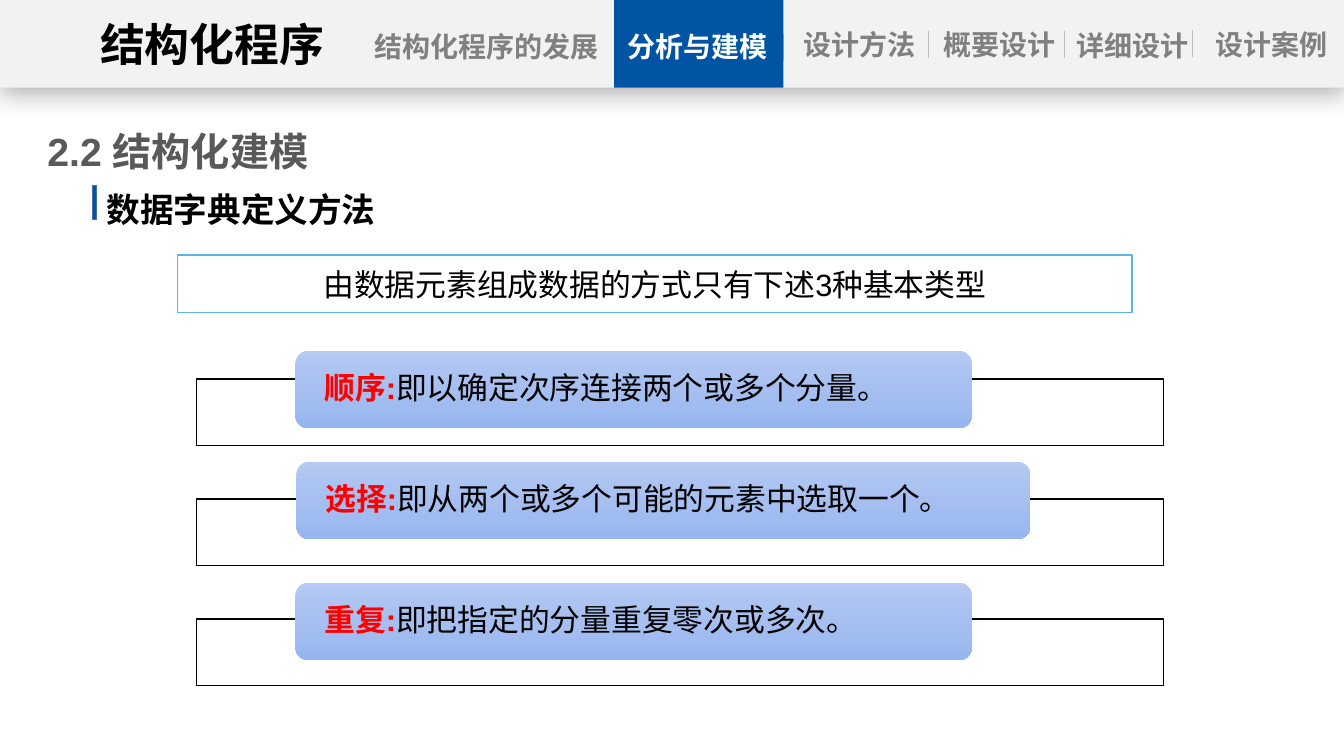
"""Build the slide on ways to define a data dictionary."""
from copy import deepcopy
from lxml.etree import SubElement
from pptx import Presentation
from pptx.dml.color import RGBColor
from pptx.enum.shapes import MSO_CONNECTOR, MSO_SHAPE
from pptx.enum.text import MSO_ANCHOR, MSO_AUTO_SIZE, PP_ALIGN
from pptx.oxml.ns import qn
from pptx.util import Pt

PX = 9144
BLUE, GREY, PALE = "0054A3", "808080", "F2F2F2"
hue = RGBColor.from_string

deck = Presentation()
deck.slide_width, deck.slide_height = 1333 * PX, 750 * PX
slide = deck.slides.add_slide(deck.slide_layouts[5])
shapes = slide.shapes


def box(x, y, w, h, fill=None, edge=None, kind=MSO_SHAPE.RECTANGLE):
    shape = shapes.add_shape(kind, x * PX, y * PX, w * PX, h * PX)
    shape.shadow.inherit = False
    if fill:
        shape.fill.solid()
        shape.fill.fore_color.rgb = hue(fill)
    else:
        shape.fill.background()
    if edge:
        shape.line.color.rgb = hue(edge)
        shape.line.width = Pt(1)
    else:
        shape.line.fill.background()
    return shape


def write(frame, parts, size, side=0, align=PP_ALIGN.LEFT, anchor=MSO_ANCHOR.TOP):
    frame.word_wrap = True
    frame.auto_size = MSO_AUTO_SIZE.NONE
    frame.vertical_anchor = anchor
    frame.margin_left = frame.margin_right = side * PX
    frame.margin_top = frame.margin_bottom = 5 * PX
    para = frame.paragraphs[0]
    para.alignment = align
    for text, tone, bold in parts:
        run = para.add_run()
        run.text = text
        run.font.name = "Arial"
        run.font.size = Pt(size)
        run.font.bold = bold
        run.font.color.rgb = hue(tone)


title = shapes.title
title.left, title.top, title.width, title.height = 47 * PX, 121 * PX, 283 * PX, 58 * PX
write(title.text_frame, [("2.2 结构化建模", "595959", True)], 28)

box(92, 184, 4, 34, BLUE, "476FAA")
topic = shapes.add_textbox(96 * PX, 183 * PX, 554 * PX, 50 * PX)
write(topic.text_frame, [("数据字典定义方法", "000000", True)], 24, 10)

intro = box(176, 253, 947, 57, edge="58B6E5")
write(intro.text_frame, [("由数据元素组成数据的方式只有下述3种基本类型", "000000", False)],
      22, 10, PP_ALIGN.CENTER, MSO_ANCHOR.MIDDLE)

types = [
    (293, 348, 671, "顺序:", "即以确定次序连接两个或多个分量。"),
    (294, 458, 728, "选择:", "即从两个或多个可能的元素中选取一个。"),
    (293, 578, 671, "重复:", "即把指定的分量重复零次或多次。"),
]
for i, (x, y, w, name, text) in enumerate(types):
    box(195, 376 + 119 * i, 959, 66, "FFFFFF", "000000")
    pill = box(x, y, w, 77, kind=MSO_SHAPE.ROUNDED_RECTANGLE)
    pill.fill.gradient()
    pill.fill.gradient_angle = 270
    stops = pill.element.spPr.find(".//" + qn("a:gsLst"))
    stops.insert(1, deepcopy(stops[0]))
    for stop, place, tone in zip(pill.fill.gradient_stops, (0, 0.5, 1),
                                 ("B4CAF3", "A6BFF0", "96B6F1")):
        stop.position = place
        stop.color.rgb = hue(tone)
    write(pill.text_frame, [(name, "FF0000", True), (text, "000000", False)],
          22, 25, anchor=MSO_ANCHOR.MIDDLE)
    pill.text_frame.paragraphs[0].line_spacing = 0.9

header = box(0, 0, 1333, 87, PALE)
glow = SubElement(header.element.spPr.find(qn("a:effectLst")), qn("a:outerShdw"),
                  blurRad=str(Pt(18)), dist=str(Pt(4)), dir="5400000",
                  algn="t", rotWithShape="0")
shade = SubElement(glow, qn("a:srgbClr"), val="000000")
SubElement(shade, qn("a:alpha"), val="29000")

for x, y in [(609, 31), (777, 34), (921, 31), (1056, 31), (1183, 30)]:
    rule = shapes.add_connector(MSO_CONNECTOR.STRAIGHT, x * PX, y * PX, x * PX, (y + 27) * PX)
    rule.line.color.rgb = hue("BFBFBF")
    rule.line.width = Pt(0.5)
    SubElement(rule.element.spPr, qn("a:effectLst"))
box(609, 0, 168, 87, BLUE)

tabs = [
    (91, 12, 239, 64, "结构化程序", "000000", 32),
    (364, 24, 237, 44, "结构化程序的发展", GREY, 20),
    (618, 24, 147, 44, "分析与建模", "FFFFFF", 20),
    (779, 22, 147, 44, "设计方法", GREY, 20),
    (918, 22, 147, 44, "概要设计", GREY, 20),
    (1047, 23, 152, 44, "详细设计", GREY, 20),
    (1188, 22, 147, 44, "设计案例", GREY, 20),
]
for x, y, w, h, text, tone, size in tabs:
    tab = shapes.add_textbox(x * PX, y * PX, w * PX, h * PX)
    write(tab.text_frame, [(text, tone, True)], size, align=PP_ALIGN.CENTER)

deck.save("out.pptx")
